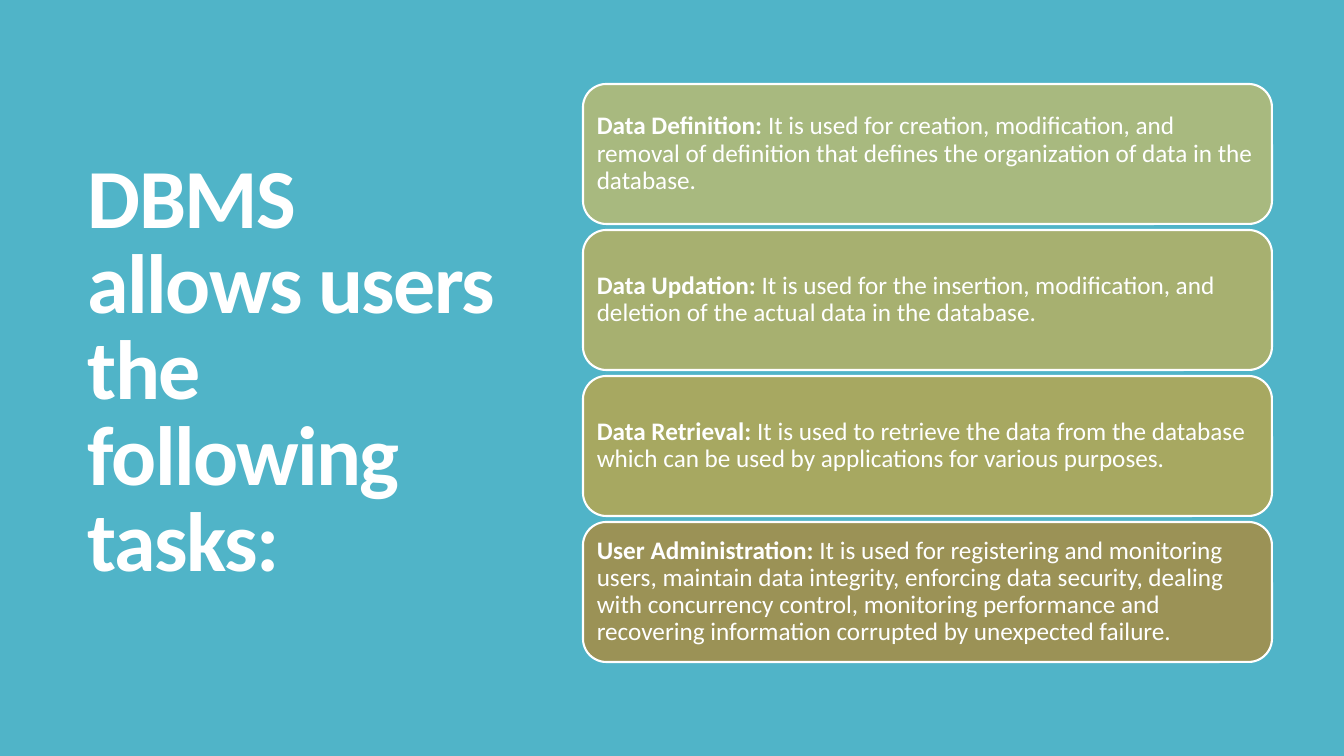
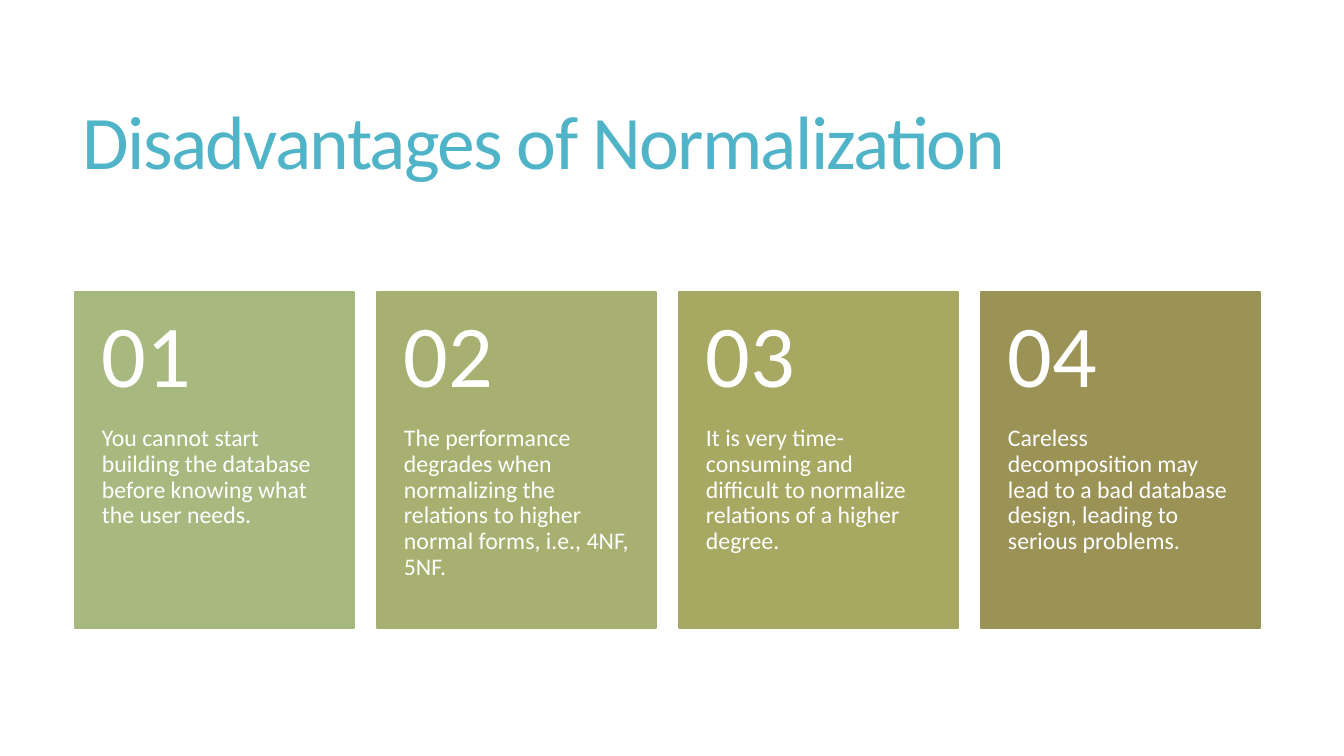
from pptx import Presentation
from pptx.dml.color import RGBColor
from pptx.enum.shapes import MSO_SHAPE as Shape
from pptx.enum.text import MSO_ANCHOR as Anchor, MSO_AUTO_SIZE as AutoSize, PP_ALIGN as Align
from pptx.util import Pt

EMU_PER_PX = 914400 / 100.8
FONT = "Calibri"
TEAL, WHITE = "50B4C8", "FFFFFF"
CARD_COLOURS = ["A8B97F", "A7B070", "A7A861", "9B9256"]


def px(*lengths):
    return [round(length * EMU_PER_PX) for length in lengths]


def write(box, runs, size, colour, anchor, insets, spacing=0.9):
    """Fill a box with one left-aligned paragraph of (text, bold) runs."""
    frame = box.text_frame
    frame.word_wrap = True
    frame.auto_size = AutoSize.NONE
    frame.vertical_anchor = anchor
    (frame.margin_left, frame.margin_top,
     frame.margin_right, frame.margin_bottom) = px(*insets)
    para = frame.paragraphs[0]
    para.alignment = Align.LEFT
    para.line_spacing = spacing
    for text, bold in runs:
        span = para.add_run()
        span.text = text
        span.font.name = FONT
        span.font.size = Pt(size)
        span.font.bold = bold
        span.font.color.rgb = RGBColor.from_string(colour)
    return para


deck = Presentation()
deck.slide_width, deck.slide_height = px(1344, 756)

# Backgrounds and titles: text, bold, size, title colour, background, place
pages = []
for text, bold, size, colour, background, place in [
    ("DBMS allows users the following tasks:", True, 60, WHITE, TEAL, (78, 71, 440, 606)),
    ("Disadvantages of Normalization", False, 54, TEAL, WHITE, (73, 55, 1187, 182)),
]:
    page = deck.slides.add_slide(deck.slide_layouts[5])
    page.background.fill.solid()
    page.background.fill.fore_color.rgb = RGBColor.from_string(background)
    title = page.shapes.title
    title.left, title.top, title.width, title.height = px(*place)
    para = write(title, [(text, bold)], size, colour, Anchor.MIDDLE, (10, 5, 10, 5), 0.85)
    for span in para.runs:
        span.font._element.set("spc", "-120")
    pages.append(page)
tasks_page, disadvantages_page = pages

# Tasks: a column of rounded cards
tasks = [
    ("Data Definition:", "It is used for creation, modification, and removal of definition "
     "that defines the organization of data in the database."),
    ("Data Updation:", "It is used for the insertion, modification, and deletion of the "
     "actual data in the database."),
    ("Data Retrieval:", "It is used to retrieve the data from the database which can be "
     "used by applications for various purposes."),
    ("User Administration:", "It is used for registering and monitoring users, maintain data "
     "integrity, enforcing data security, dealing with concurrency control, monitoring "
     "performance and recovering information corrupted by unexpected failure."),
]
TASK_HEIGHT, TASK_GAP = 140, 6
for index, ((name, description), colour) in enumerate(zip(tasks, CARD_COLOURS)):
    top = 84 + index * (TASK_HEIGHT + TASK_GAP)
    card = tasks_page.shapes.add_shape(Shape.ROUNDED_RECTANGLE, *px(583, top, 689, TASK_HEIGHT))
    card.shadow.inherit = False
    card.fill.solid()
    card.fill.fore_color.rgb = RGBColor.from_string(colour)
    card.line.color.rgb = RGBColor.from_string(WHITE)
    card.line.width = Pt(1.5)
    write(card, [(name, True), (" " + description, False)], 18, WHITE,
          Anchor.MIDDLE, (7, 7, 7, 7))

# Disadvantages: a row of numbered cards
disadvantages = [
    "You cannot start building the database before knowing what the user needs.",
    "The performance degrades when normalizing the relations to higher normal forms, "
    "i.e., 4NF, 5NF.",
    "It is very time-consuming and difficult to normalize relations of a higher degree.",
    "Careless decomposition may lead to a bad database design, leading to serious problems.",
]
CARD_TOP, CARD_WIDTH, CARD_GAP, NUMBER_HEIGHT = 292, 279, 23, 134
for index, (text, colour) in enumerate(zip(disadvantages, CARD_COLOURS)):
    left = 75 + index * (CARD_WIDTH + CARD_GAP)
    card = disadvantages_page.shapes.add_shape(
        Shape.RECTANGLE, *px(left, CARD_TOP, CARD_WIDTH, 336))
    card.shadow.inherit = False
    card.fill.solid()
    card.fill.fore_color.rgb = RGBColor.from_string(colour)
    card.line.color.rgb = RGBColor.from_string(colour)
    card.line.width = Pt(1)
    write(card, [(text, False)], 17, WHITE, Anchor.TOP, (27, NUMBER_HEIGHT, 27, 36))
    number = disadvantages_page.shapes.add_textbox(
        *px(left, CARD_TOP, CARD_WIDTH, NUMBER_HEIGHT))
    write(number, [(f"{index + 1:02}", False)], 63, WHITE, Anchor.MIDDLE, (27, 18, 27, 18))

deck.save("out.pptx")
